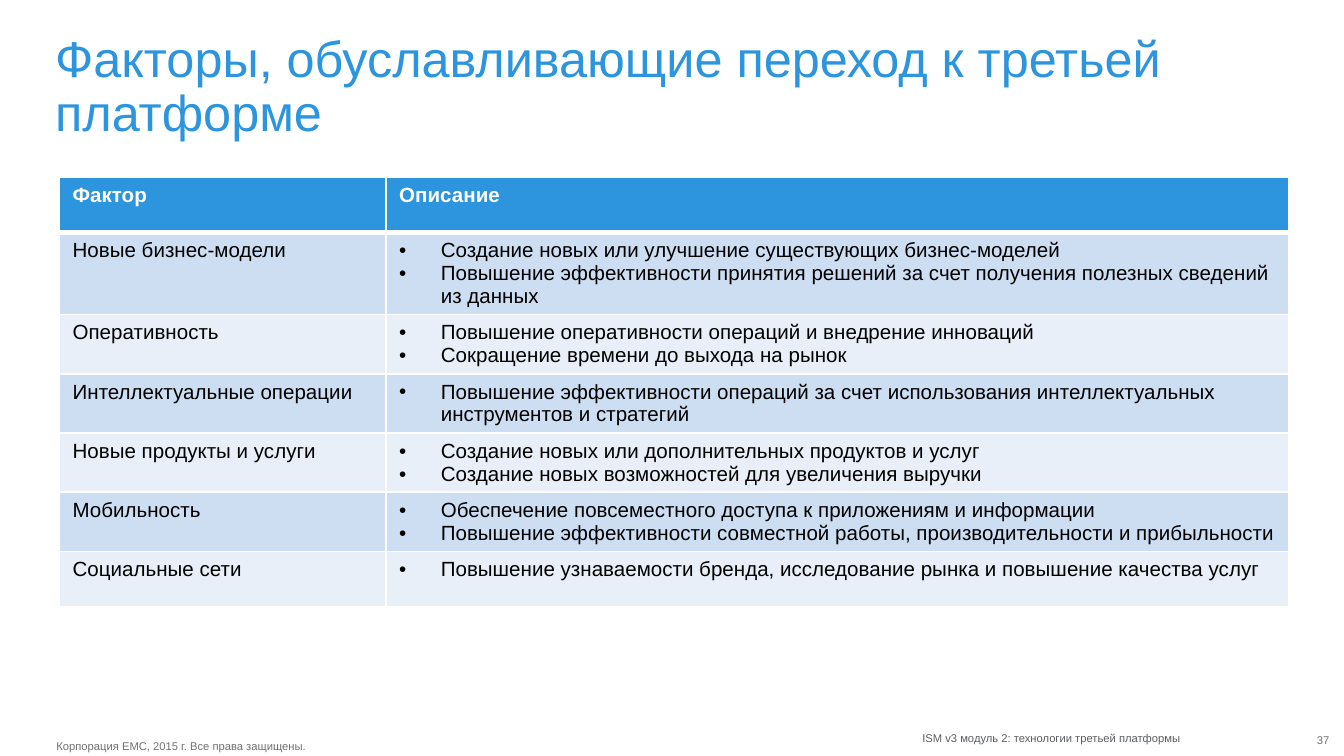
from lxml import etree
from pptx import Presentation
from pptx.dml.color import RGBColor
from pptx.enum.text import MSO_ANCHOR, PP_ALIGN
from pptx.oxml.ns import qn
from pptx.util import Inches, Pt

LEFT, RIGHT = PP_ALIGN.LEFT, PP_ALIGN.RIGHT
TOP = MSO_ANCHOR.TOP

TITLE = "Факторы, обуславливающие переход к третьей платформе"
HEADERS = ["Фактор", "Описание"]
FACTORS = [
    ("Новые бизнес-модели", [
        "Создание новых или улучшение существующих бизнес-моделей",
        "Повышение эффективности принятия решений за счет получения полезных сведений из данных",
    ]),
    ("Оперативность", [
        "Повышение оперативности операций и внедрение инноваций",
        "Сокращение времени до выхода на рынок",
    ]),
    ("Интеллектуальные операции", [
        "Повышение эффективности операций за счет использования интеллектуальных инструментов и стратегий",
    ]),
    ("Новые продукты и услуги", [
        "Создание новых или дополнительных продуктов и услуг",
        "Создание новых возможностей для увеличения выручки",
    ]),
    ("Мобильность", [
        "Обеспечение повсеместного доступа к приложениям и информации",
        "Повышение эффективности совместной работы, производительности и прибыльности",
    ]),
    ("Социальные сети", [
        "Повышение узнаваемости бренда, исследование рынка и повышение качества услуг",
    ]),
]
FOOTERS = [
    ("Корпорация EMC, 2015 г. Все права защищены.", 0.42, 5.5, 1.89, LEFT, "copyright"),
    ("ISM v3 модуль 2: технологии третьей платформы", 6.83, 5.44, 1.95, RIGHT, "module"),
    ("37", 9.58, 5.46, 0.31, RIGHT, "number"),
]
COLORS = {
    "accent": "2C95DD", "white": "FFFFFF", "black": "000000",
    "band_dark": "CDDDF2", "band_light": "E8EFF9",
    "copyright": "717073", "module": "5B5E61", "number": "717074",
}
FONT = "Arial"
SLIDE_WIDTH = 10
SLIDE_HEIGHT = SLIDE_WIDTH * 9 / 16
COLUMN_WIDTHS = [2.43, 6.72]
ROW_HEIGHT = 0.41
INDENT = 0.31


def color(name):
    return RGBColor.from_string(COLORS[name])


def add_text(paragraph, text, size, color_name, bold=False):
    run = paragraph.add_run()
    run.text = text
    run.font.name = FONT
    run.font.size = Pt(size)
    run.font.bold = bold
    run.font.color.rgb = color(color_name)


def clear_margins(frame):
    frame.margin_left = frame.margin_right = 0
    frame.margin_top = frame.margin_bottom = 0


def add_bullet(paragraph):
    properties = paragraph._p.get_or_add_pPr()
    properties.set("marL", str(Inches(INDENT)))
    properties.set("indent", str(-Inches(INDENT)))
    etree.SubElement(properties, qn("a:buFont")).set("typeface", FONT)
    etree.SubElement(properties, qn("a:buChar")).set("char", "•")


def style_cell(cell, fill_name, top=1, bottom=1):
    properties = cell._tc.get_or_add_tcPr()
    for side, width in (("L", 1), ("R", 1), ("T", top), ("B", bottom)):
        line = etree.SubElement(properties, qn(f"a:ln{side}"), w=str(Pt(width)))
        fill = etree.SubElement(line, qn("a:solidFill"))
        etree.SubElement(fill, qn("a:srgbClr"), val=COLORS["white"])
    cell.fill.solid()
    cell.fill.fore_color.rgb = color(fill_name)


def add_title(slide):
    title = slide.shapes.title
    title.left, title.top = Inches(0.41), Inches(0.25)
    title.width, title.height = Inches(9.25), Inches(0.5)
    frame = title.text_frame
    clear_margins(frame)
    frame.word_wrap = True
    frame.vertical_anchor = TOP
    paragraph = frame.paragraphs[0]
    paragraph.alignment = LEFT
    paragraph.line_spacing = 0.9
    add_text(paragraph, TITLE, 27, "accent")


def add_factor_table(slide):
    row_count = len(FACTORS) + 1
    table = slide.shapes.add_table(
        row_count, len(HEADERS), Inches(0.44), Inches(1.32),
        Inches(sum(COLUMN_WIDTHS)), Inches(ROW_HEIGHT * row_count)).table
    for column, width in zip(table.columns, COLUMN_WIDTHS):
        column.width = Inches(width)
    for row in table.rows:
        row.height = Inches(ROW_HEIGHT)
    for index, header in enumerate(HEADERS):
        cell = table.cell(0, index)
        style_cell(cell, "accent", bottom=3)
        add_text(cell.text_frame.paragraphs[0], header, 11, "white", True)
    for row_index, (factor, points) in enumerate(FACTORS, 1):
        band = "band_dark" if row_index % 2 else "band_light"
        name_cell, points_cell = table.cell(row_index, 0), table.cell(row_index, 1)
        for cell in (name_cell, points_cell):
            style_cell(cell, band, top=3 if row_index == 1 else 1)
        add_text(name_cell.text_frame.paragraphs[0], factor, 11, "black")
        frame = points_cell.text_frame
        for index, point in enumerate(points):
            paragraph = frame.add_paragraph() if index else frame.paragraphs[0]
            add_bullet(paragraph)
            add_text(paragraph, point, 11, "black")


def add_footers(slide):
    for text, left, top, width, alignment, color_name in FOOTERS:
        box = slide.shapes.add_textbox(
            Inches(left), Inches(top), Inches(width), Inches(0.1))
        frame = box.text_frame
        clear_margins(frame)
        frame.word_wrap = True
        paragraph = frame.paragraphs[0]
        paragraph.alignment = alignment
        add_text(paragraph, text, 6, color_name)


def main():
    presentation = Presentation()
    presentation.slide_width = Inches(SLIDE_WIDTH)
    presentation.slide_height = Inches(SLIDE_HEIGHT)
    slide = presentation.slides.add_slide(presentation.slide_layouts[5])
    add_title(slide)
    add_factor_table(slide)
    add_footers(slide)
    presentation.save("out.pptx")


if __name__ == "__main__":
    main()
